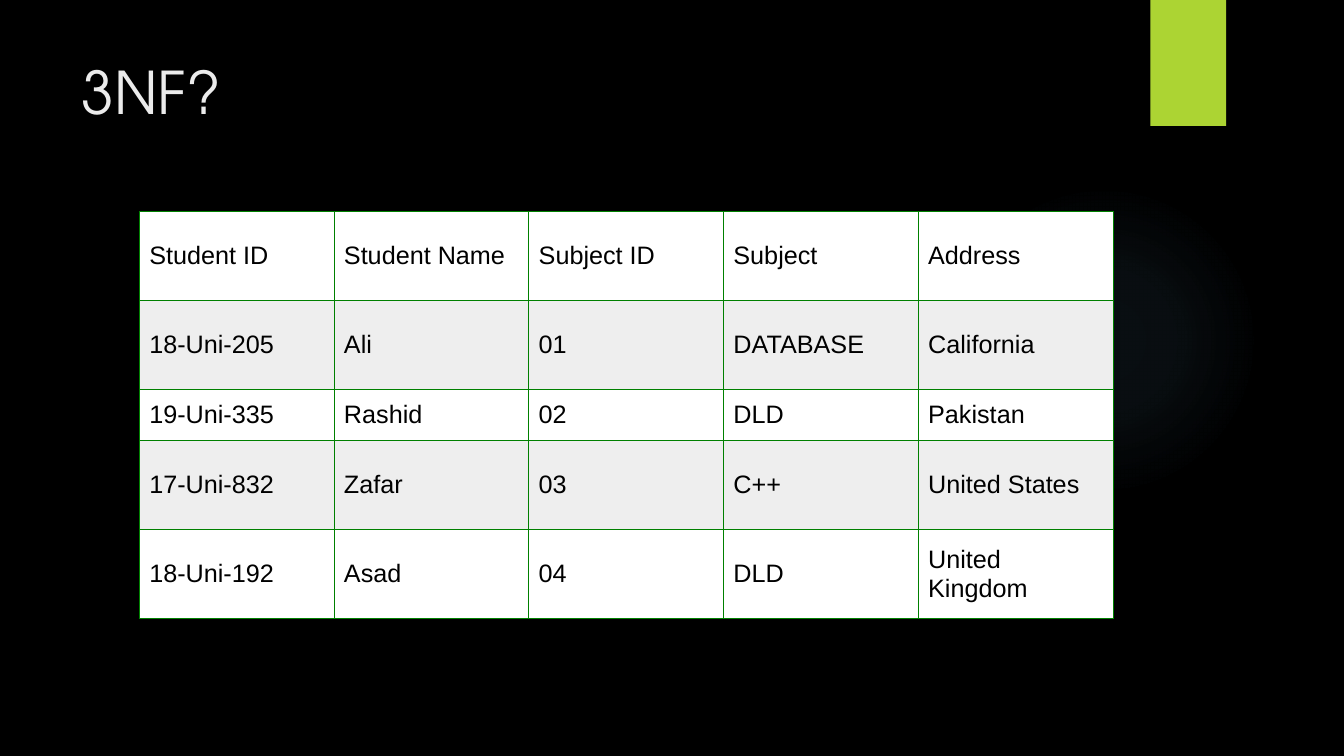
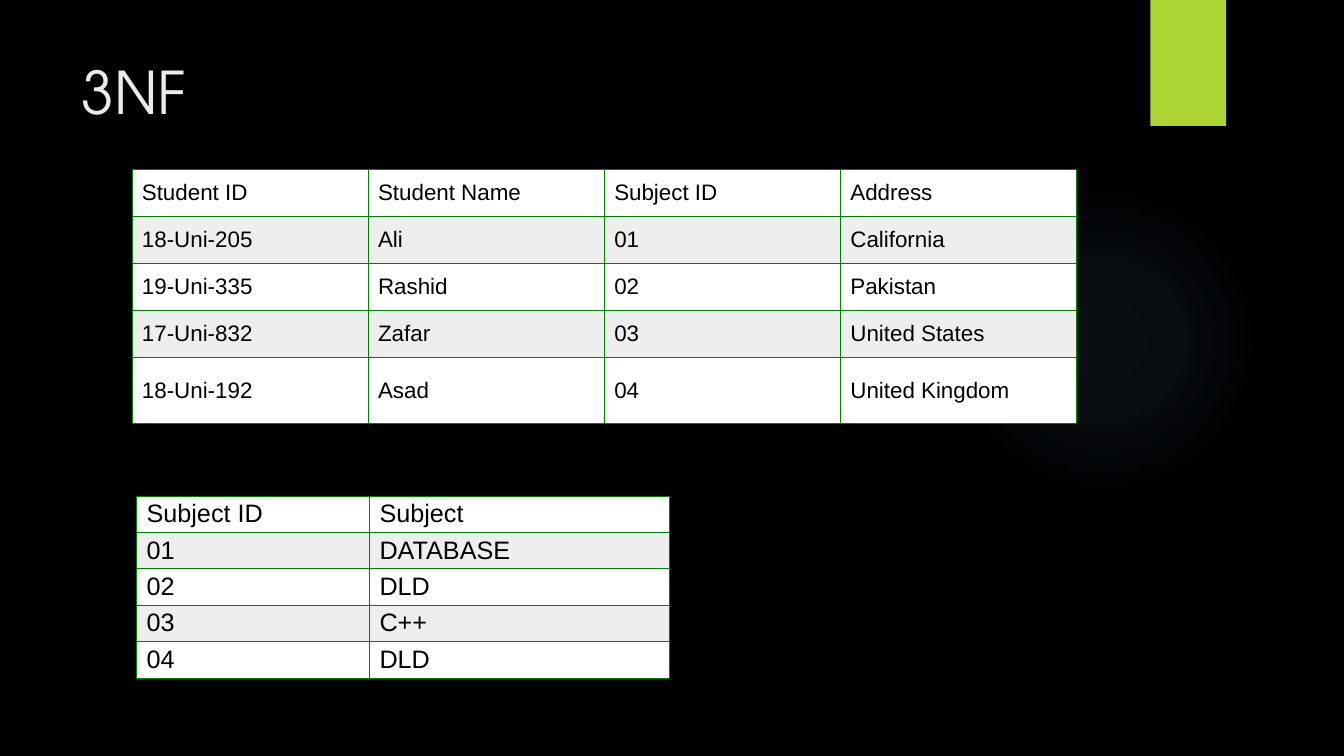
import pptx
import pptx.dml.color
import pptx.enum.shapes
import pptx.enum.text
import pptx.oxml
import pptx.oxml.ns
import pptx.util

Pt = pptx.util.Pt
SHAPE = pptx.enum.shapes.MSO_SHAPE
ANCHOR = pptx.enum.text.MSO_ANCHOR
NS = pptx.oxml.ns.nsdecls("a")

HUES = {
    "back": "000000", "title": "EBEBEB", "band": "ACD433", "glow": "7AC4F0",
    "text": "000000", "odd": "FFFFFF", "even": "EEEEEE", "edge": "008000",
}
TITLE = {"name": "TeX Gyre Adventor", "size": Pt(42)}
BODY = {"name": "Arial", "bold": False}
CELL = {
    "margin_left": Pt(7.2), "margin_right": Pt(7.2),
    "margin_top": Pt(2.2), "margin_bottom": Pt(2.2),
    "vertical_anchor": ANCHOR.MIDDLE,
}
# Glow stops: position and opacity, in percent
STOPS = [(0, 7), (36, 6), (69, 0)]

DATA = [
    ["Student ID", "Student Name", "Subject ID", "Subject", "Address"],
    ["18-Uni-205", "Ali", "01", "DATABASE", "California"],
    ["19-Uni-335", "Rashid", "02", "DLD", "Pakistan"],
    ["17-Uni-832", "Zafar", "03", "C++", "United States"],
    ["18-Uni-192", "Asad", "04", "DLD", "United Kingdom"],
]

# Each table: left, top, text size, row heights, and {data column: width}
SLIDES = [
    ("3NF?", [
        (99.4, 151.2, 18, [63.6, 63.6, 36.4, 63.6, 63.6],
         dict.fromkeys(range(5), 139.1)),
    ]),
    ("3NF", [
        (97.5, 354.2, 18, [25.2] * 5, {2: 166.4, 3: 214}),
        (94.2, 121, 16, [33.6] * 4 + [46.8],
         dict.fromkeys([0, 1, 2, 4], 168.7)),
    ]),
]


def rgb(name):
    return pptx.dml.color.RGBColor.from_string(HUES[name])


def style(item, form):
    """Set each attribute that the format dict names."""
    for key, val in form.items():
        setattr(item, key, val)


deck = pptx.Presentation()
deck.slide_width, deck.slide_height = Pt(960), Pt(540)
back = deck.slide_master.background.fill
back.solid()
back.fore_color.rgb = rgb("back")

for head, tables in SLIDES:
    slide = deck.slides.add_slide(deck.slide_layouts[6])
    shapes = slide.shapes

    glow = shapes.add_shape(SHAPE.OVAL, Pt(677.5), Pt(131.8), Pt(221.8), Pt(221.8))
    band = shapes.add_shape(SHAPE.RECTANGLE, Pt(821.8), 0, Pt(54), Pt(90))
    for shape in (glow, band):
        shape.shadow.inherit = False
        shape.line.fill.background()
    band.fill.solid()
    band.fill.fore_color.rgb = rgb("band")
    stops = "".join(
        f'<a:gs pos="{pos * 1000}"><a:srgbClr val="{HUES["glow"]}">'
        f'<a:alpha val="{alpha * 1000}"/></a:srgbClr></a:gs>'
        for pos, alpha in STOPS)
    grad = pptx.oxml.parse_xml(
        f'<a:gradFill {NS}><a:gsLst>{stops}</a:gsLst><a:path path="circle">'
        '<a:fillToRect l="50000" t="50000" r="50000" b="50000"/>'
        '</a:path></a:gradFill>')
    glow._element.spPr.prstGeom.addnext(grad)

    frame = shapes.add_textbox(Pt(51.2), Pt(36), Pt(741), Pt(110)).text_frame
    frame.word_wrap = True
    run = frame.paragraphs[0].add_run()
    run.text = head
    style(run.font, TITLE)
    run.font.color.rgb = rgb("title")

    for left, top, size, highs, cols in tables:
        table = shapes.add_table(
            len(DATA), len(cols), Pt(left), Pt(top),
            Pt(sum(cols.values())), Pt(sum(highs))).table
        style(table, {"first_row": False, "horz_banding": False})
        for col, wide in zip(table.columns, cols.values()):
            col.width = Pt(wide)
        for r, (row, high) in enumerate(zip(DATA, highs)):
            table.rows[r].height = Pt(high)
            for c, key in enumerate(cols):
                cell = table.cell(r, c)
                style(cell, CELL)
                for side in "LRTB":
                    cell._tc.get_or_add_tcPr().append(pptx.oxml.parse_xml(
                        f'<a:ln{side} {NS} w="{Pt(0.5)}"><a:solidFill>'
                        f'<a:srgbClr val="{HUES["edge"]}"/>'
                        f'</a:solidFill></a:ln{side}>'))
                cell.fill.solid()
                cell.fill.fore_color.rgb = rgb("even" if r % 2 else "odd")
                run = cell.text_frame.paragraphs[0].add_run()
                run.text = row[key]
                style(run.font, {**BODY, "size": Pt(size)})
                run.font.color.rgb = rgb("text")

deck.save("out.pptx")
